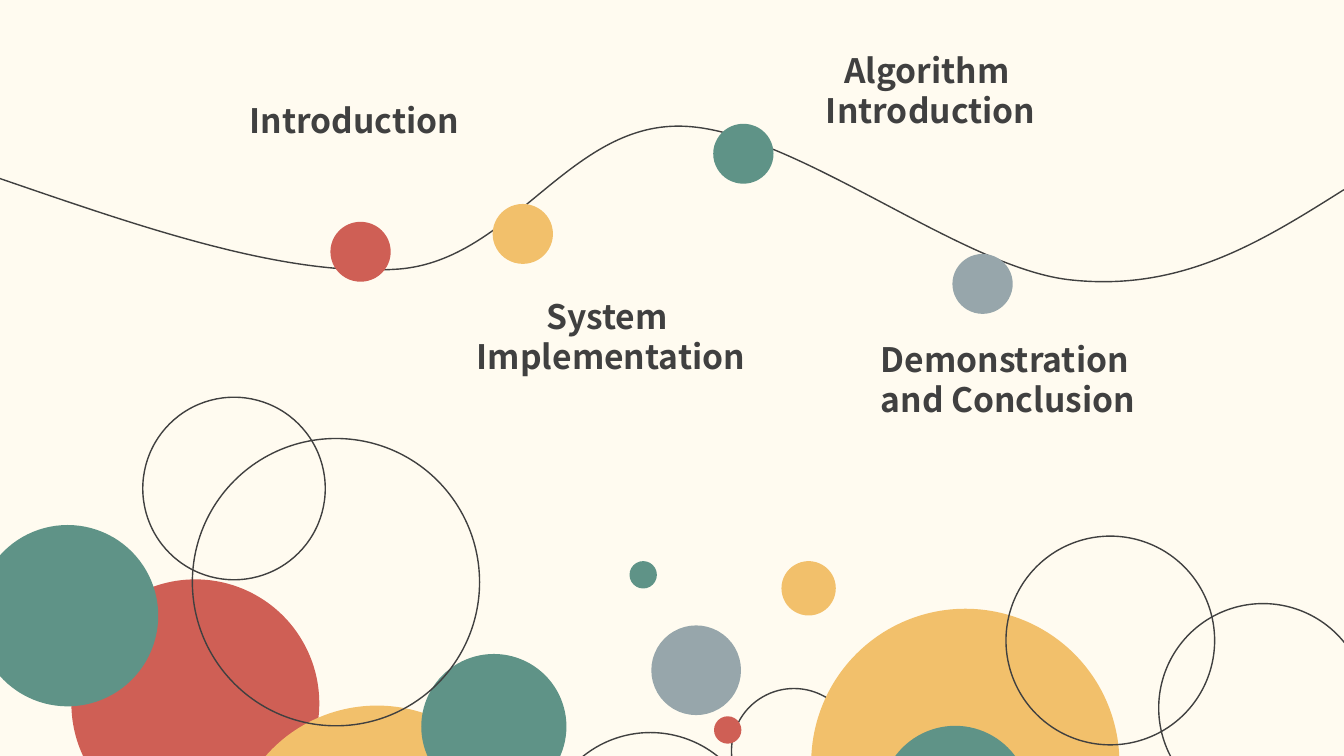
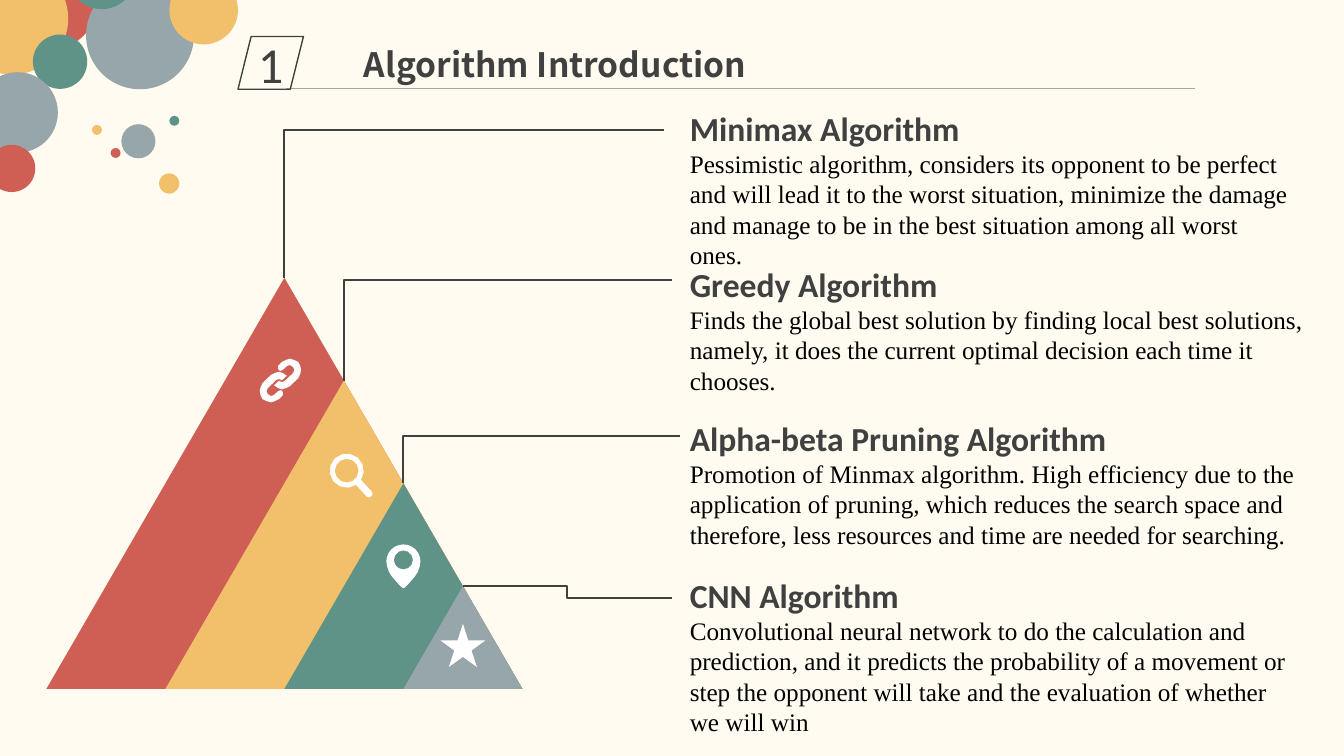
import math

from lxml import etree
from pptx import Presentation
from pptx import util as u
from pptx.dml.color import RGBColor
from pptx.enum import shapes, text
from pptx.oxml.ns import qn

COLOURS = {
    "paper": "FFFBF0",
    "ink": "404040",
    "black": "000000",
    "white": "FFFFFF",
    "rule": "A6A6A6",
    "red": "CF5F55",
    "yellow": "F2C06B",
    "green": "5F9387",
    "grey": "97A6AB",
}
SERIES = ("red", "yellow", "green", "grey")
HEADING_FONT = "Noto Sans CJK SC"
LABEL_FONT = "Calibri"
BODY_FONT = "Times New Roman"

# Circles: left, top, diameter in cm, and fill colour (None for an outline)
AGENDA_BUBBLES = [
    (1.8, 14.6, 6.25, "red"), (5.77, 17.78, 7.47, "yellow"), (10.62, 16.48, 3.66, "green"),
    (13.69, 18.46, 5.41, None), (4.85, 11.05, 7.24, None), (-0.58, 13.23, 4.57, "green"),
    (18.44, 17.35, 3.15, None), (20.45, 15.34, 7.77, "yellow"), (22.2, 18.29, 3.76, "green"),
    (25.36, 13.51, 5.26, None), (29.21, 15.21, 5.26, None), (16.42, 15.76, 2.26, "grey"),
    (18, 18.05, 0.69, "red"), (15.87, 14.14, 0.69, "green"), (19.7, 14.14, 1.37, "yellow"),
    (3.6, 10.01, 4.6, None),
]
CORNER_BUBBLES = [
    (0.1, -1.12, 2.36, "red"), (-1.1, -0.94, 2.82, "yellow"), (0.83, 0.87, 1.37, "green"),
    (-0.57, 1.82, 2.03, "grey"), (2.17, -0.47, 2.72, "grey"), (1.7, -1.5, 1.73, "green"),
    (-0.3, 3.65, 1.19, "red"), (3.06, 3.13, 0.86, "grey"), (2.79, 3.73, 0.25, "red"),
    (2.32, 3.15, 0.25, "yellow"), (4.27, 2.92, 0.25, "green"), (4.01, 4.37, 0.51, "yellow"),
    (4.27, -0.61, 1.73, "yellow"),
]
ROAD_START = (0, 4.5)
ROAD_CURVES = [
    ((3.61, 5.74), (7.19, 6.99), (10.06, 6.78)),
    ((12.9, 6.55), (14.33, 3.12), (17.17, 3.18)),
    ((19.99, 3.23), (24.26, 6.81), (27.05, 7.06)),
    ((29.82, 7.34), (31.83, 6.07), (33.88, 4.78)),
]
# Stop left and top, label left, top and height, label text, centred or not
AGENDA = [
    ((8.33, 5.59), (6.05, 2.39, 1.27), "Introduction", False),
    ((12.42, 5.14), (11.45, 7.32, 2.31), "System \nImplementation", True),
    ((17.98, 3.12), (19.51, 1.13, 2.31), "Algorithm \nIntroduction", True),
    ((24.01, 6.4), (21.95, 8.41, 2.31), "Demonstration and Conclusion", False),
]
# Text top, width and height, connector end, heading, description
ALGORITHMS = [
    ((2.6, 15.77, 3.58), (16.74, 3.28), "Minimax Algorithm",
     "Pessimistic algorithm, considers its opponent to be perfect and will lead it to the "
     "worst situation, minimize the damage and manage to be in the best situation among all "
     "worst ones."),
    ((6.53, 15.98, 3.58), (16.94, 7.06), "Greedy Algorithm",
     "Finds the global best solution by finding local best solutions, namely, it does the "
     "current optimal decision each time it chooses."),
    ((10.41, 15.98, 3.58), (17.15, 10.98), "Alpha-beta Pruning Algorithm",
     "Promotion of Minmax algorithm. High efficiency due to the application of pruning, which "
     "reduces the search space and therefore, less resources and time are needed for searching."),
    ((14.37, 15.8, 4.37), (16.94, 15.07), "CNN Algorithm",
     "Convolutional neural network to do the calculation and prediction, and it predicts the "
     "probability of a movement or step the opponent will take and the evaluation of whether "
     "we will win"),
]
# One half of the chain icon, in mm from its centre
CHAIN_LINK = [
    (2.4, -5.5), (3.4, -5.2), (4.5, -4.7), (5, -3.7), (5.2, -2.7), (5, -1.7), (4.5, -0.6),
    (2.4, 1.4), (1.4, 1.9), (0.4, 2.2), (-0.6, 1.9), (-1.6, 1.2), (-0.4, 0.1), (0.4, 0.4),
    (1.1, 0.1), (3.2, -1.9), (3.5, -2.7), (3.2, -3.4), (2.4, -3.9), (1.7, -3.7), (0.6, -2.7),
    (-0.1, -2.4), (-0.6, -2.9), (-0.6, -3.7), (0.4, -4.7), (1.4, -5.2),
]


def arc(x, y, radius, first=0, last=360, steps=12):
    angles = [math.radians(first + (last - first) * i / steps) for i in range(steps + 1)]
    return [(x + radius * math.cos(a), y + radius * math.sin(a)) for a in angles]


class Deck:
    """The presentation, its style and the current slide; lengths are in cm."""

    def __init__(self):
        self.presentation = Presentation()
        self.presentation.slide_width = u.Cm(33.88)
        self.presentation.slide_height = u.Cm(19.05)
        self.paint(self.presentation.slide_master.background.fill, "paper")
        self.slide = None

    def new_slide(self, layout):
        self.slide = self.presentation.slides.add_slide(
            self.presentation.slide_layouts.get_by_name(layout))

    def paint(self, fill, colour):
        if colour:
            fill.solid()
            fill.fore_color.rgb = RGBColor.from_string(COLOURS[colour])
        else:
            fill.background()

    def style(self, shape, fill=None, line=None, width=1):
        shape.shadow.inherit = False
        self.paint(shape.fill, fill)
        self.paint(shape.line.fill, line)
        if line:
            shape.line.width = u.Pt(width)
        return shape

    def preset(self, kind, left, top, width, height, fill=None, line=None, parent=None):
        owner = parent or self.slide
        shape = owner.shapes.add_shape(kind, *map(u.Cm, (left, top, width, height)))
        return self.style(shape, fill, line)

    def bubbles(self, circles, parent=None):
        for left, top, size, colour in circles:
            self.preset(shapes.MSO_SHAPE.OVAL, left, top, size, size, colour,
                        None if colour else "ink", parent)

    def freeform(self, contours, fill=None, line=None):
        """Outline of one or more contours; closed when it is filled."""
        contours = [[(u.Cm(x), u.Cm(y)) for x, y in contour] for contour in contours]
        builder = self.slide.shapes.build_freeform(*contours[0][0])
        for number, contour in enumerate(contours):
            if number:
                builder.move_to(*contour[0])
            builder.add_line_segments(contour[1:], close=bool(fill))
        return self.style(builder.convert_to_shape(), fill, line)

    def curve(self, start, curves, line):
        """Open line of cubic curves, each given as two handles and an end."""
        shape = self.freeform([[start] + [points[-1] for points in curves]], line=line)
        segments = list(shape._element.iter(qn("a:lnTo")))
        for segment, points in zip(segments, curves):
            segment.tag = qn("a:cubicBezTo")
            segment.clear()
            for x, y in points:
                etree.SubElement(segment, qn("a:pt"), x=str(u.Cm(x) - shape.left),
                                 y=str(u.Cm(y) - shape.top))

    def icon(self, x, y, *contours):
        self.freeform([[(x + dx, y + dy) for dx, dy in c] for c in contours], "white")

    def connector(self, start, end, colour="ink", width=1.5,
                  kind=shapes.MSO_CONNECTOR.ELBOW, preset=None):
        line = self.slide.shapes.add_connector(kind, *map(u.Cm, start + end))
        self.paint(line.line.fill, colour)
        line.line.width = u.Pt(width)
        properties = line._element.spPr
        etree.SubElement(properties, qn("a:effectLst"))
        if preset:
            properties.find(qn("a:prstGeom")).set("prst", preset)

    def format(self, paragraph, font, size, colour="ink", bold=False, centred=False):
        paragraph.alignment = text.PP_ALIGN.CENTER if centred else text.PP_ALIGN.LEFT
        for run in paragraph.runs:
            run.font.name = font
            run.font.size = u.Pt(size)
            run.font.bold = bold
            run.font.color.rgb = RGBColor.from_string(COLOURS[colour])

    def text_box(self, left, top, width, height, words):
        box = self.slide.shapes.add_textbox(*map(u.Cm, (left, top, width, height)))
        box.text_frame.word_wrap = True
        box.text_frame.text = words
        return box.text_frame.paragraphs

    def label(self, left, top, height, words, centred):
        for paragraph in self.text_box(left, top, 7.9, height, words):
            self.format(paragraph, HEADING_FONT, 24, bold=True, centred=centred)

    def described_item(self, top, width, height, heading, description):
        first, second = self.text_box(17.14, top, width, height, f"{heading}\n{description}")
        self.format(first, LABEL_FONT, 24, bold=True)
        self.format(second, BODY_FONT, 18, "black")

    def header(self, number, words):
        self.bubbles(CORNER_BUBBLES, self.slide.shapes.add_group_shape())
        self.connector((7.21, 2.23), (30.12, 2.23), "rule", 0.5, shapes.MSO_CONNECTOR.STRAIGHT)
        badge = self.preset(shapes.MSO_SHAPE.PARALLELOGRAM, 6, 0.92, 1.65, 1.33, line="ink")
        frame = badge.text_frame
        frame.margin_left = frame.margin_right = frame.margin_top = frame.margin_bottom = 0
        frame.vertical_anchor = text.MSO_ANCHOR.MIDDLE
        frame.text = number
        self.format(frame.paragraphs[0], LABEL_FONT, 36, centred=True)

        title = self.slide.shapes.title
        title.left, title.top, title.width, title.height = map(u.Cm, (8.92, 0.97, 13.03, 1.27))
        title.text_frame.text = words
        title.text_frame.auto_size = text.MSO_AUTO_SIZE.NONE
        title.text_frame.vertical_anchor = text.MSO_ANCHOR.TOP
        self.format(title.text_frame.paragraphs[0], HEADING_FONT, 24, bold=True)


def agenda_slide(deck):
    deck.new_slide("Blank")
    deck.bubbles(AGENDA_BUBBLES)
    deck.curve(ROAD_START, ROAD_CURVES, "ink")
    for (stop, label, words, centred), colour in zip(AGENDA, SERIES):
        deck.preset(shapes.MSO_SHAPE.OVAL, *stop, 1.52, 1.51, colour)
        deck.label(*label, words, centred)


def algorithm_slide(deck):
    deck.new_slide("Title Only")
    right, bottom, step_width, step_height = 13.17, 17.36, 3, 2.59
    for level, (place, end, heading, description) in enumerate(ALGORITHMS):
        width, height = (4 - level) * step_width, (4 - level) * step_height
        apex = (right - width / 2, bottom - height)
        deck.preset(shapes.MSO_SHAPE.ISOSCELES_TRIANGLE, right - width, apex[1],
                    width, height, SERIES[level])
        deck.described_item(*place, heading, description)
        if level < 3:
            deck.connector(end, apex, preset="bentConnector2")
        else:
            deck.connector(apex, end)

    deck.icon(7.07, 9.59, *[[(sign * x / 10, sign * y / 10) for x, y in CHAIN_LINK]
                            for sign in (1, -1)])
    lens = arc(0, 0, 0.43, 57, 393) + arc(0.56, 0.58, 0.09, -45, 135, 6)
    deck.icon(8.74, 11.86, lens, arc(0, 0, 0.3))
    side = [(0.41, 0.13), (0.36, 0.27), (0.28, 0.39), (0.13, 0.56), (0.02, 0.67)]
    pin = arc(0, 0, 0.43, 180, 360) + side + [(-x, y) for x, y in reversed(side)]
    deck.icon(10.17, 14.15, pin, arc(0, -0.04, 0.24))
    deck.preset(shapes.MSO_SHAPE.STAR_5_POINT, 11.1, 15.72, 1.14, 1.09, "white")
    deck.header("1", "Algorithm Introduction")


def main():
    deck = Deck()
    agenda_slide(deck)
    algorithm_slide(deck)
    deck.presentation.save("out.pptx")


if __name__ == "__main__":
    main()
